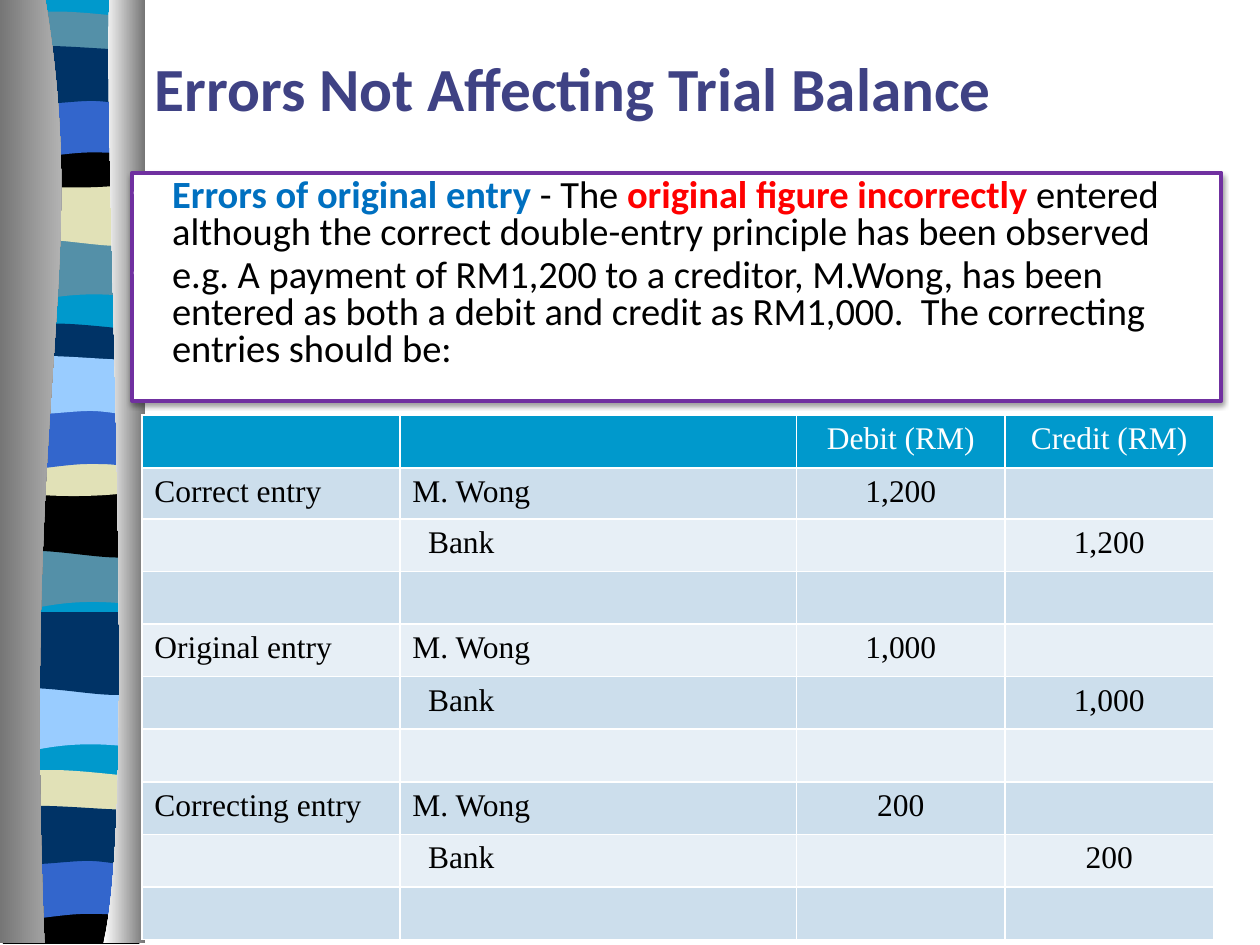
from lxml.etree import SubElement
from pptx import Presentation
from pptx.dml.color import RGBColor
from pptx.enum.text import MSO_ANCHOR as Anchor, MSO_AUTO_SIZE as AutoSize, PP_ALIGN as Align
from pptx.oxml.ns import qn
from pptx.util import Cm, Pt

COLORS = {
    "sky": "0099CC", "teal": "5490A8", "cream": "E1E1B7", "black": "000000",
    "blue": "3366CC", "navy": "003366", "light": "99CCFF", "white": "FFFFFF",
    "grey": "767676", "silver": "D0D0D0", "purple": "7030A0", "title": "3F4284",
    "term": "0070C0", "red": "FF0000", "odd_row": "CCDEEC", "even_row": "E7EFF6",
}

OUTLINES = {
    "block": [(0, 0), (1, 0), (1, 1), (0, 1)],
    "swell": [(1, 0), (1, 0.85), (0.31, 0.71, 0.17, 1, 0, 0.85), (0, 0)],
    "ripple": [(1, 0), (1, 0.87), (0.83, 1.02, 0.31, 0.76, 0, 0.87), (0, 0)],
    "lens": [(1, 0.13), (1, 0.87), (0.83, 1, 0.17, 1, 0, 0.87), (0, 0.13),
             (0.07, 0, 0.21, 0, 0.38, 0), (0.55, 0, 0.87, 0.1, 1, 0.13)],
    "bowl": [(1, 0), (1, 0.86), (0.83, 1, 0.17, 1, 0, 0.86), (0, 0),
             (0.61, 0.13, 0.79, 0, 1, 0)],
    "arch": [(1, 0), (1, 1), (0.84, 0.9, 0.78, 0.9, 0.61, 0.9),
             (0.44, 0.9, 0.15, 1, 0, 1), (0, 0)],
    "flag": [(1, 0.12), (1, 0.88), (0.94, 1, 0.79, 0.88, 0.62, 0.88),
             (0.45, 0.88, 0.1, 1, 0, 0.88), (0, 0.12),
             (0.14, 0, 0.68, 0.12, 0.84, 0.12)],
    "foot": [(1, 0), (1, 1), (0, 1), (0, 0), (0.61, 0.13, 0.79, 0, 1, 0)],
    "left_fold": [(0.5, 0), (1, 0.29, 0.24, 0.4, 0.49, 1), (0, 1), (0, 0)],
    "right_fold": [(0.15, 0), (0, 0.17, 0.85, 0.86, 0, 1), (1, 1), (1, 0)],
}

HEIGHTS = {"swell": 1.4, "ripple": 1.4, "lens": 0.84, "bowl": 0.96,
           "arch": 1.2, "flag": 1.05, "foot": 0.95}

BAND_GROUPS = [
    (0.14, [("swell", 4.67, "teal"), ("ripple", 3.5, "cream"), ("lens", 0.36, "teal"),
            ("bowl", 2.72, "black"), ("arch", 1.85, "blue"), ("flag", 0.99, "navy")]),
    (0.11, [("swell", 10.87, "teal"), ("ripple", 9.78, "black"), ("lens", 6.65, "navy"),
            ("bowl", 8.94, "cream"), ("arch", 8.13, "blue"), ("flag", 7.24, "light")]),
    (0.06, [("swell", 13.74, "light"), ("ripple", 12.55, "navy"), ("lens", 15.65, "cream"),
            ("foot", 18.08, "black"), ("arch", 17.2, "blue"), ("flag", 16.31, "navy")]),
]

PARAGRAPHS = [
    [("Errors of original entry ", "term", True), ("- The ", "black", False),
     ("original figure incorrectly", "red", True),
     (" entered although the correct double-entry principle has been observed",
      "black", False)],
    [("e.g. A payment of RM1,200 to a creditor, M.Wong, has been entered as both a debit "
      "and credit as RM1,000.  The correcting entries should be:", "black", False)],
]

ENTRIES = [("Correct entry", "1,200"), ("Original entry", "1,000"), ("Correcting entry", "200")]


def rgb(name):
    return RGBColor.from_string(COLORS[name])


def set_values(target, values):
    for name, value in values.items():
        setattr(target, name, value)


def format_font(font, face, size, color, bold=False):
    set_values(font, {"name": face, "size": Pt(size), "bold": bold})
    font.color.rgb = rgb(color)


def place(shape, box):
    set_values(shape, dict(zip(("left", "top", "width", "height"), map(Cm, box))))


def draw_curves(shape, outline):
    route = next(shape.element.iter(qn("a:path")))
    for command in list(route):
        route.remove(command)
    for index, part in enumerate(outline):
        kind = "cubicBezTo" if len(part) == 6 else "lnTo" if index else "moveTo"
        command = SubElement(route, qn(f"a:{kind}"))
        for x, y in zip(part[::2], part[1::2]):
            SubElement(command, qn("a:pt"), x=str(round(x * shape.width)),
                       y=str(round(y * shape.height)))
    SubElement(route, qn("a:close"))


def add_outline(group, name, box, *colors):
    left, top, width, height = box
    corners = [(Cm(left + x * width), Cm(top + y * height)) for x, y in OUTLINES["block"]]
    builder = group.shapes.build_freeform(*corners[0])
    builder.add_line_segments(corners[1:], close=True)
    shape = builder.convert_to_shape()
    draw_curves(shape, OUTLINES[name])
    shape.shadow.inherit = False
    shape.line.fill.background()
    if len(colors) == 1:
        shape.fill.solid()
        shape.fill.fore_color.rgb = rgb(colors[0])
    else:
        shape.fill.gradient()
        shape.fill.gradient_angle = 0
        for stop, color in zip(shape.fill.gradient_stops, colors):
            stop.color.rgb = rgb(color)


def add_ribbon(slide, box):
    left, top, width, height = box
    band_width, stretch = 2.75, 1.3
    group = slide.shapes.add_group_shape()
    add_outline(group, "block", (left + 0.15, top, band_width, height), "sky")
    for inset, bands in BAND_GROUPS:
        for name, offset, color in bands:
            band_height = HEIGHTS[name]
            rise = 0 if name == "foot" else band_height * (stretch - 1) / 2
            band = (left + inset, top + offset - rise, band_width, band_height + 2 * rise)
            add_outline(group, name, band, color)
    add_outline(group, "left_fold", (left, top, 1.83, height), "grey", "silver")
    add_outline(group, "right_fold", (left + width - 0.84, top, 0.84, height), "white", "grey")
    slide.slide_layout.slide_master.shapes._spTree.insert(2, group.element)


def add_title(slide, box):
    title = slide.shapes.title
    place(title, box)
    set_values(title.text_frame, {"text": "Errors Not Affecting Trial Balance",
                                  "vertical_anchor": Anchor.MIDDLE,
                                  "auto_size": AutoSize.NONE})
    paragraph = title.text_frame.paragraphs[0]
    paragraph.alignment = Align.LEFT
    format_font(paragraph.runs[0].font, "Calibri", 35, "title", True)


def add_bullet(paragraph):
    properties = paragraph._p.get_or_add_pPr()
    properties.set("marL", str(Cm(0.8)))
    properties.set("indent", str(-Cm(0.8)))
    SubElement(SubElement(properties, qn("a:buClr")), qn("a:srgbClr"), val=COLORS["white"])
    SubElement(properties, qn("a:buSzPct"), val="95000")
    SubElement(properties, qn("a:buChar"), char="•")


def add_explanation(slide, box):
    body = slide.placeholders[1]
    place(body, box)
    body.fill.solid()
    body.fill.fore_color.rgb = rgb("white")
    body.line.color.rgb = rgb("purple")
    body.line.width = Pt(2.25)
    effects = SubElement(body.element.spPr, qn("a:effectLst"))
    shadow = SubElement(effects, qn("a:outerShdw"), blurRad=str(Pt(3.1)), dist=str(Pt(1.6)),
                        dir="5400000", rotWithShape="0")
    shade = SubElement(shadow, qn("a:srgbClr"), val=COLORS["black"])
    SubElement(shade, qn("a:alpha"), val="38000")
    frame = body.text_frame
    set_values(frame, {"margin_left": 0, "margin_right": Cm(0.05), "margin_top": Cm(0.13),
                       "margin_bottom": Cm(0.13), "word_wrap": True,
                       "auto_size": AutoSize.NONE, "vertical_anchor": Anchor.TOP})
    for index, parts in enumerate(PARAGRAPHS):
        paragraph = frame.add_paragraph() if index else frame.paragraphs[0]
        set_values(paragraph, {"line_spacing": 0.8, "space_before": Pt(3.5)})
        add_bullet(paragraph)
        for text, color, bold in parts:
            run = paragraph.add_run()
            run.text = text
            format_font(run.font, "Calibri", 22, color, bold)


def format_cell(cell, text, fill, color, centred):
    cell.text = text
    paragraph = cell.text_frame.paragraphs[0]
    paragraph.alignment = Align.CENTER if centred else Align.LEFT
    for run in paragraph.runs:
        format_font(run.font, "Times New Roman", 18, color)
    if text == "Bank":
        cell.margin_left = Cm(0.57)
    properties = cell._tc.get_or_add_tcPr()
    for side in ("lnL", "lnR", "lnT", "lnB"):
        border = SubElement(properties, qn(f"a:{side}"), w=str(Pt(1)))
        SubElement(SubElement(border, qn("a:solidFill")), qn("a:srgbClr"), val=COLORS["white"])
    cell.fill.solid()
    cell.fill.fore_color.rgb = rgb(fill)


def add_entries(slide, box):
    rows = [("", "", "Debit (RM)", "Credit (RM)")]
    for label, amount in ENTRIES:
        rows += [(label, "M. Wong", amount, ""), ("", "Bank", "", amount), ("", "", "", "")]
    table = slide.shapes.add_table(len(rows), 4, *map(Cm, box)).table
    for column, width in zip(table.columns, (5.2, 8, 4.2, 4.2)):
        column.width = Cm(width)
    for index, texts in enumerate(rows):
        table.rows[index].height = Cm(1.01 if index == 1 else 1.06)
        fill = ("odd_row" if index % 2 else "even_row") if index else "sky"
        for column, text in enumerate(texts):
            format_cell(table.cell(index, column), text, fill,
                        "black" if index else "white", column > 1)


def main():
    presentation = Presentation()
    set_values(presentation, {"slide_width": Cm(25.4), "slide_height": Cm(19.05)})
    slide = presentation.slides.add_slide(presentation.slide_layouts[1])
    add_ribbon(slide, (0, 0, 2.92, 19.02))
    add_explanation(slide, (2.67, 3.48, 21.95, 4.6))
    add_title(slide, (2.86, 0.35, 21.56, 2.79))
    add_entries(slide, (2.86, 8.37, 21.6, 10.55))
    slide.shapes.title.element.addprevious(slide.placeholders[1].element)
    presentation.save("out.pptx")


if __name__ == "__main__":
    main()
